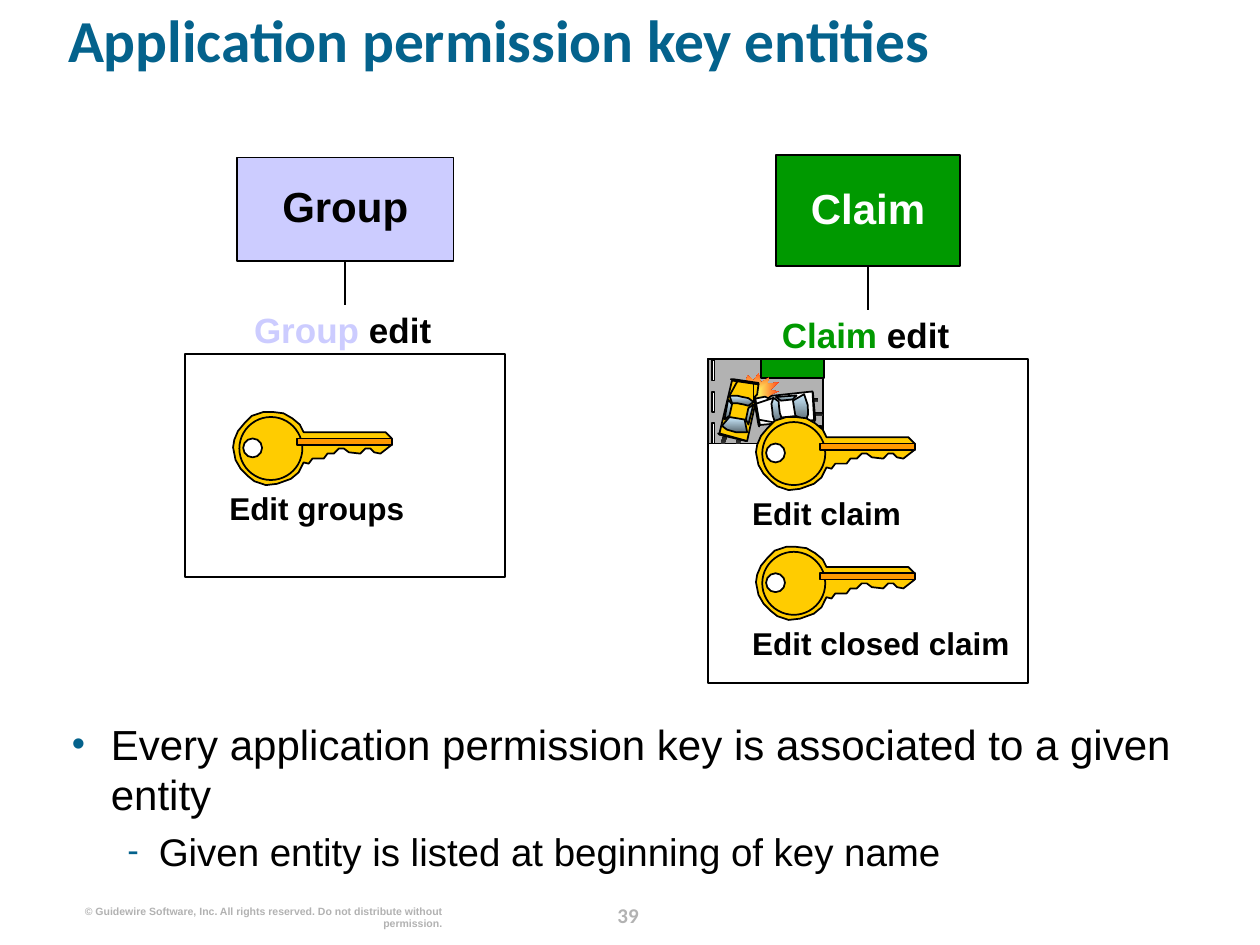
import math
import pptx
import pptx.util
import pptx.dml.color
import pptx.enum.shapes
import pptx.enum.text
import pptx.oxml.ns
from lxml import etree

Inches, Pt = pptx.util.Inches, pptx.util.Pt
SHAPE = pptx.enum.shapes.MSO_SHAPE
ALIGN = pptx.enum.text.PP_ALIGN
ANCHOR = pptx.enum.text.MSO_ANCHOR
qn = pptx.oxml.ns.qn

THEME = {
    "head": "Calibri", "text": "Arial",
    "title": 34, "body": 24, "sub": 22, "entity": 24, "perm": 20, "key": 18, "number": 12, "legal": 6,
    "accent": "04628C", "ink": "000000", "paper": "FFFFFF", "muted": "B2B2B2",
    "group": "CCCCFF", "claim": "009900", "gold": "FFCC00", "orange": "FF9900",
    "glass": ("CCECFF", "5E6D76"), "tyre": ("000000", "333333"), "blast": ("FFFF66", "FF0000"),
}

# Content
TITLE = "Application permission key entities"
BULLETS = [  # text, level, bullet, size, left margin, hanging indent, space before
    ("Every application permission key is associated to a given entity", 0, "•", "body", 0.31, 0.31, 0),
    ("Given entity is listed at beginning of key name", 1, "-", "sub", 0.69, 0.25, 5),
]
LEGAL = "© Guidewire Software, Inc. All rights reserved. Do not distribute without permission."
PAGE = "39"
ENTITIES = [  # centre x, box top, box width and height, panel top and height
    dict(name="Group", color="group", ink="ink", cx=2.74, box=(1.25, 1.72, 0.82),
         panel=(2.81, 1.77), keys=["Edit groups"], crash=False),
    dict(name="Claim", color="claim", ink="paper", cx=6.89, box=(1.23, 1.46, 0.88),
         panel=(2.85, 2.57), keys=["Edit claim", "Edit closed claim"], crash=True),
]
PANEL_W, KEY_X, KEY_Y, KEY_STEP = 2.54, 0.38, 0.46, 1.03

# Key outline, from the key's top left corner
KEY = [(.56, .16), (.53, .10), (.47, .05), (.40, .01), (.32, 0), (.24, 0), (.15, .03), (.09, .09),
       (.04, .15), (.01, .22), (0, .28), (.02, .38), (.06, .45), (.12, .51), (.17, .55), (.26, .58),
       (.35, .57), (.46, .53), (.52, .48), (.56, .40), (.60, .41), (.63, .37), (.72, .37), (.75, .33),
       (.80, .33), (.84, .29), (.88, .29), (.92, .32), (1.01, .33), (1.05, .29), (1.09, .29),
       (1.12, .32), (1.17, .33), (1.26, .26), (1.26, .21), (1.21, .16)]

# Car parts, from the car's centre: fill (None means the paint), outlined, points
CAR = [
    ("tyre", False, [(-.11, .14), (-.15, .26), (-.12, .26), (-.08, .15)]),
    ("tyre", False, [(0, .17), (-.03, .26), (0, .26), (.03, .17)]),
    ("muted", True, [(-.17, .18), (.06, .23), (.05, .24), (-.16, .19)]),
    (None, True, [(-.06, -.24), (-.16, .18), (.06, .24), (.13, -.08), (.12, -.11), (.14, -.13), (.15, -.21)]),
    ("glass", True, [(-.08, -.12), (-.06, -.06), (-.02, -.06), (.03, -.05), (.07, -.04),
                     (.11, -.07), (.07, -.10), (.02, -.11), (-.02, -.12), (-.06, -.12)]),
    ("glass", True, [(-.08, .05), (-.14, .12), (-.10, .15), (-.03, .17), (.06, .17), (.04, .07)]),
    ("glass", True, [(.07, -.02), (.11, -.05), (.07, .11), (.05, .07)]),
    ("glass", True, [(-.06, -.05), (-.08, .04), (-.12, .07), (-.09, -.09)]),
    ("muted", True, [(-.07, -.25), (-.05, -.25), (.15, -.22), (.15, -.21)]),
]
HOOD_LINES = [((-.08, -.12), (-.02, -.23)), ((.11, -.07), (.11, -.21))]
CARS = [("gold", (.25, .41), 0), ("paper", (.62, .39), 251.5)]  # paint, centre in the scene, turn
# Road scene, from its top left corner: left, top, width, height
ROAD = [("muted", (0, 0, .91, .67)), ("claim", (.42, 0, .5, .15))]
MARKS = [(.03, .01 + .25 * i, .02, .16) for i in range(3)] + [(.55 + .2 * i, .53, .15, .02) for i in range(2)]


def rgb(name):
    return pptx.dml.color.RGBColor.from_string(THEME[name])


def style(sp, fill, outlined=True):
    sp.shadow.inherit = False
    if isinstance(THEME[fill], tuple):
        sp.fill.gradient()
        sp.fill.gradient_angle = 270
        for stop, pos, color in zip(sp.fill.gradient_stops, (0, 1), THEME[fill]):
            stop.position = pos
            stop.color.rgb = pptx.dml.color.RGBColor.from_string(color)
    else:
        sp.fill.solid()
        sp.fill.fore_color.rgb = rgb(fill)
    if outlined:
        sp.line.color.rgb = rgb("ink")
        sp.line.width = Pt(1)
    else:
        sp.line.fill.background()
    return sp


def shape(s, kind, box, fill):
    return style(s.shapes.add_shape(kind, *map(Inches, box)), fill)


def outline(s, points, fill, outlined=True):
    points = [(Inches(x), Inches(y)) for x, y in points]
    fb = s.shapes.build_freeform(*points[0])
    fb.add_line_segments(points[1:], close=True)
    return style(fb.convert_to_shape(), fill, outlined)


def line(s, start, end):
    c = s.shapes.add_connector(pptx.enum.shapes.MSO_CONNECTOR.STRAIGHT, *map(Inches, start + end))
    c.line.color.rgb = rgb("ink")
    c.line.width = Pt(1)
    etree.SubElement(c._element.spPr, qn("a:effectLst"))
    return c


def frame(sp, anchor=ANCHOR.TOP):
    tf = sp.text_frame
    tf.word_wrap = True
    tf.auto_size = pptx.enum.text.MSO_AUTO_SIZE.NONE
    tf.margin_left = tf.margin_right = tf.margin_top = tf.margin_bottom = 0
    tf.vertical_anchor = anchor
    return tf


def add_run(p, text, size, color, bold=True, font="text"):
    r = p.add_run()
    r.text = text
    r.font.name, r.font.size, r.font.bold = THEME[font], Pt(THEME[size]), bold
    r.font.color.rgb = rgb(color)


def label(s, box, runs, size, align=ALIGN.LEFT, font="text"):
    p = frame(s.shapes.add_textbox(*map(Inches, box))).paragraphs[0]
    p.alignment = align
    for text, color in runs:
        add_run(p, text, size, color, font=font)
    return p


def place(sp, box):
    sp.left, sp.top, sp.width, sp.height = map(Inches, box)


def add_bullet(p, char, margin, hang):
    pPr = p._p.get_or_add_pPr()
    pPr.set("marL", str(Inches(margin)))
    pPr.set("indent", str(-Inches(hang)))
    color = etree.SubElement(pPr, qn("a:buClr"))
    etree.SubElement(color, qn("a:srgbClr"), val=THEME["accent"])
    etree.SubElement(pPr, qn("a:buSzPct"), val="90000")
    etree.SubElement(pPr, qn("a:buFont"), typeface=THEME["text"])
    etree.SubElement(pPr, qn("a:buChar"), char=char)


def draw_key(s, x, y, name):
    outline(s, [(x + dx, y + dy) for dx, dy in KEY], "gold")
    shape(s, SHAPE.OVAL, (x + .05, y + .04, .5, .5), "gold")
    shape(s, SHAPE.OVAL, (x + .08, y + .21, .15, .15), "paper")
    shape(s, SHAPE.RECTANGLE, (x + .51, y + .21, .75, .05), "orange")
    label(s, (x - .03, y + .61, 2.1, .3), [(name, "ink")], "key")


def draw_car(s, cx, cy, paint, turn):
    cos, sin = math.cos(math.radians(turn)), math.sin(math.radians(turn))

    def turned(pt):
        return cx + pt[0] * cos - pt[1] * sin, cy + pt[0] * sin + pt[1] * cos

    for fill, outlined, points in CAR:
        outline(s, [turned(pt) for pt in points], fill or paint, outlined)
    for start, end in HOOD_LINES:
        line(s, turned(start), turned(end))


def draw_crash(s, x, y):
    for fill, (dx, dy, w, h) in ROAD + [("paper", mark) for mark in MARKS]:
        shape(s, SHAPE.RECTANGLE, (x + dx, y + dy, w, h), fill)
    blast = shape(s, SHAPE.EXPLOSION2, (x + .22, y + .09, .34, .35), "blast")
    blast.rotation = 44.7
    blast.line.fill.background()
    lin = blast._element.spPr.find(".//" + qn("a:lin"))
    radial = etree.Element(qn("a:path"), path="shape")
    etree.SubElement(radial, qn("a:fillToRect"), l="50000", t="50000", r="50000", b="50000")
    lin.getparent().replace(lin, radial)
    for paint, (dx, dy), turn in CARS:
        draw_car(s, x + dx, y + dy, paint, turn)


def draw_entity(s, e):
    cx, (top, w, h), (panel_top, panel_h) = e["cx"], e["box"], e["panel"]
    box = shape(s, SHAPE.RECTANGLE, (cx - w / 2, top, w, h), e["color"])
    tf = frame(box, ANCHOR.MIDDLE)
    tf.margin_bottom = Inches(.05)
    p = tf.paragraphs[0]
    p.alignment = ALIGN.CENTER
    add_run(p, e["name"], "entity", e["ink"])
    line(s, (cx, top + h), (cx, panel_top - .39)).begin_connect(box, 2)
    left = cx - PANEL_W / 2
    shape(s, SHAPE.RECTANGLE, (left, panel_top, PANEL_W, panel_h), "paper")
    label(s, (cx - 1.24, panel_top - .36, 2.44, .33), [(e["name"], e["color"]), (" edit", "ink")],
          "perm", ALIGN.CENTER)
    if e["crash"]:
        draw_crash(s, left, panel_top)
    for i, name in enumerate(e["keys"]):
        draw_key(s, left + KEY_X, panel_top + KEY_Y + i * KEY_STEP, name)


def main():
    prs = pptx.Presentation()
    prs.slide_width, prs.slide_height = Inches(10), Inches(7.5)
    s = prs.slides.add_slide(prs.slide_layouts[1])

    # Title and bullets
    title, body = s.placeholders
    place(title, (.54, .13, 9.1, .81))
    p = frame(title).paragraphs[0]
    p.alignment, p.line_spacing = ALIGN.LEFT, 0.8
    add_run(p, TITLE, "title", "accent", font="head")
    place(body, (.57, 5.7, 9.1, 1.29))
    tf = frame(body)
    for i, (text, level, char, size, margin, hang, before) in enumerate(BULLETS):
        p = tf.paragraphs[0] if i == 0 else tf.add_paragraph()
        p.level = level
        add_bullet(p, char, margin, hang)
        p.space_before = Pt(before)
        add_run(p, text, size, "ink", bold=False)

    # Entities with their permission keys
    for e in ENTITIES:
        draw_entity(s, e)

    # Footer
    label(s, (.61, 7.18, 2.9, .2), [(LEGAL, "muted")], "legal", ALIGN.RIGHT)
    label(s, (4.7, 7.11, .57, .25), [(PAGE, "muted")], "number", ALIGN.CENTER, "head").line_spacing = Pt(18)
    prs.save("out.pptx")


if __name__ == "__main__":
    main()
